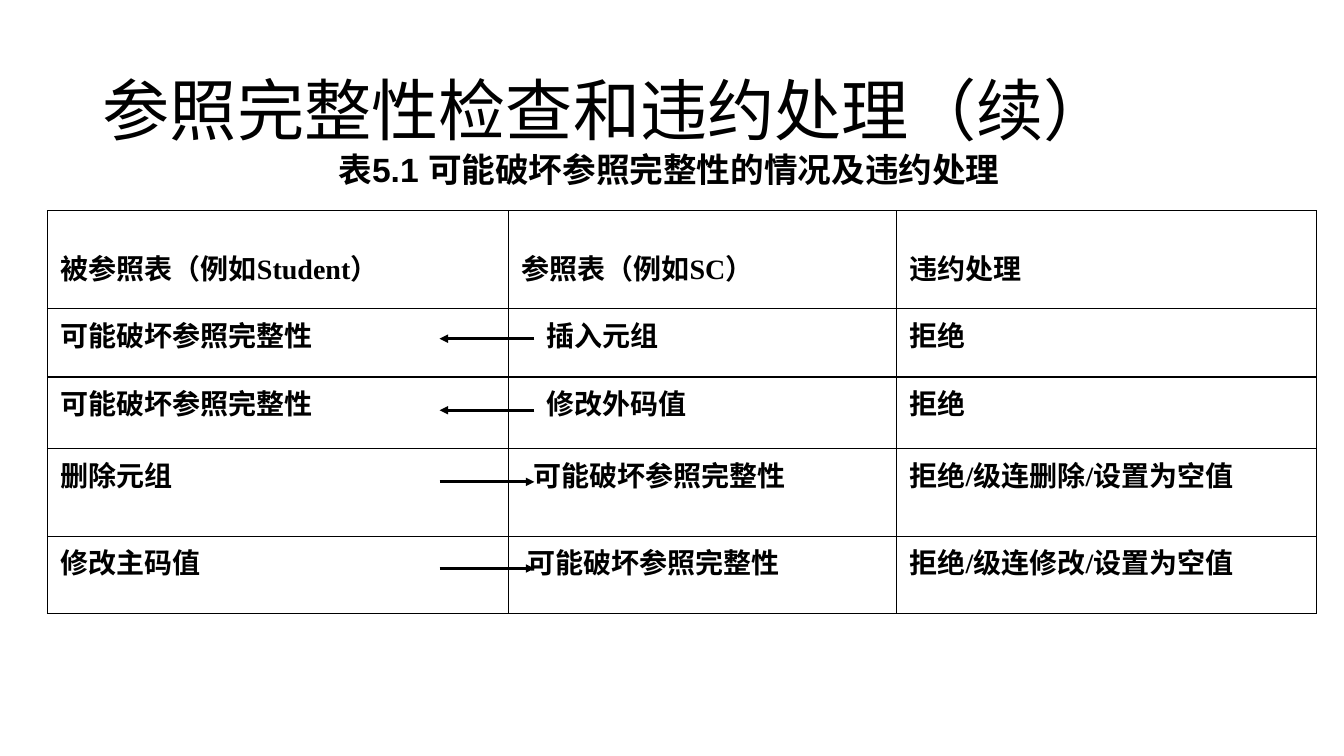
"""Build the slide on referential integrity checks and violation handling."""
import pptx
import pptx.dml.color
import pptx.enum.shapes
import pptx.enum.text
import pptx.oxml
import pptx.oxml.ns
import pptx.util
from pptx.util import Inches, Pt

COLORS = {"ink": "000000", "paper": "FFFFFF"}
CJK, SANS, SERIF = "Noto Sans CJK SC", "Arial", "Times New Roman"

TITLE = "参照完整性检查和违约处理（续）"
CAPTION = [("表", CJK), ("5.1 ", SANS), ("可能破坏参照完整性的情况及违约处理", CJK)]
BROKEN = "可能破坏参照完整性"
ROWS = [
    ("被参照表（例如Student）", "参照表（例如SC）", "违约处理"),
    (BROKEN, "插入元组", "拒绝"),
    (BROKEN, "修改外码值", "拒绝"),
    ("删除元组", BROKEN, "拒绝/级连删除/设置为空值"),
    ("修改主码值", BROKEN, "拒绝/级连修改/设置为空值"),
]
COLUMN_WIDTHS = [4.57, 3.85, 4.17]
ROW_HEIGHTS = [0.97, 0.68, 0.71, 0.87, 0.77]
MIDDLE_INDENTS = [0, 0.25, 0.25, 0.12, 0.06]
TABLE_LEFT, TABLE_TOP = 0.47, 2.09
ARROW_LEFT, ARROW_RIGHT = 4.36, 5.3
ARROWS = [(3.36, "left"), (4.07, "left"), (4.78, "right"), (5.64, "right")]


def color(name):
    return pptx.dml.color.RGBColor.from_string(COLORS[name])


def add_xml(parent, body):
    tag, rest = body.split(" ", 1)
    namespace = pptx.oxml.ns.nsdecls("a")
    parent.append(pptx.oxml.parse_xml(f"<a:{tag} {namespace} {rest}"))


def style(font, size, bold, name):
    font.size, font.bold, font.name = Pt(size), bold, name
    font.color.rgb = color("ink")


def add_span(para, text, name):
    span = para.add_run()
    span.text = text
    span.font.name = name
    add_xml(span.font._element, f'ea typeface="{CJK}"/>')


def add_box(page, left, top, width, height, spans, size, bold, wrap):
    box = page.shapes.add_textbox(Inches(left), Inches(top), Inches(width), Inches(height))
    frame = box.text_frame
    frame.word_wrap = wrap
    frame.vertical_anchor = pptx.enum.text.MSO_ANCHOR.MIDDLE
    para = frame.paragraphs[0]
    style(para.font, size, bold, CJK)
    for text, name in spans:
        add_span(para, text, name)
    return para


def fill_cell(cell, text, indent, top):
    cell.margin_left, cell.margin_right = Inches(0.13 + indent), Inches(0.13)
    cell.margin_top, cell.margin_bottom = Inches(top), Inches(0.05)
    para = cell.text_frame.paragraphs[0]
    style(para.font, 20, True, SERIF)
    add_span(para, text, SERIF)
    properties = cell._tc.get_or_add_tcPr()
    for side in ("lnL", "lnR", "lnT", "lnB"):
        add_xml(properties, f'{side} w="12700"><a:solidFill><a:srgbClr val="{COLORS["ink"]}"/>'
                            f'</a:solidFill></a:{side}>')
    cell.fill.background()


def add_table(page):
    frame = page.shapes.add_table(
        len(ROWS), len(COLUMN_WIDTHS), Inches(TABLE_LEFT), Inches(TABLE_TOP),
        Inches(sum(COLUMN_WIDTHS)), Inches(sum(ROW_HEIGHTS)))
    table = frame.table
    table.first_row = table.horz_banding = False
    for column, width in zip(table.columns, COLUMN_WIDTHS):
        column.width = Inches(width)
    for index, (row, texts) in enumerate(zip(table.rows, ROWS)):
        row.height = Inches(ROW_HEIGHTS[index])
        top = 0.36 if index == 0 else 0.05
        for place, text in enumerate(texts):
            indent = MIDDLE_INDENTS[index] if place == 1 else 0
            fill_cell(row.cells[place], text, indent, top)


def add_arrow(page, height, direction):
    ends = [ARROW_LEFT, ARROW_RIGHT]
    start, end = ends if direction == "right" else reversed(ends)
    arrow = page.shapes.add_connector(
        pptx.enum.shapes.MSO_CONNECTOR.STRAIGHT,
        Inches(start), Inches(height), Inches(end), Inches(height))
    arrow.line.color.rgb = color("ink")
    arrow.line.width = Pt(2)
    add_xml(arrow.line._get_or_add_ln(), 'tailEnd type="triangle"/>')
    add_xml(arrow._element.spPr, "effectLst />")


deck = pptx.Presentation()
deck.slide_width, deck.slide_height = Inches(13.33), Inches(7.5)
page = deck.slides.add_slide(deck.slide_layouts[6])
page.background.fill.solid()
page.background.fill.fore_color.rgb = color("paper")

title = add_box(page, 0.92, 0.4, 11.5, 1.45, [(TITLE, CJK)], 48, False, True)
title.line_spacing = 0.9
caption = add_box(page, 3.17, 1.43, 6.93, 0.5, CAPTION, 24, True, False)
caption.alignment = pptx.enum.text.PP_ALIGN.CENTER
add_table(page)
for height, direction in ARROWS:
    add_arrow(page, height, direction)

deck.save("out.pptx")
